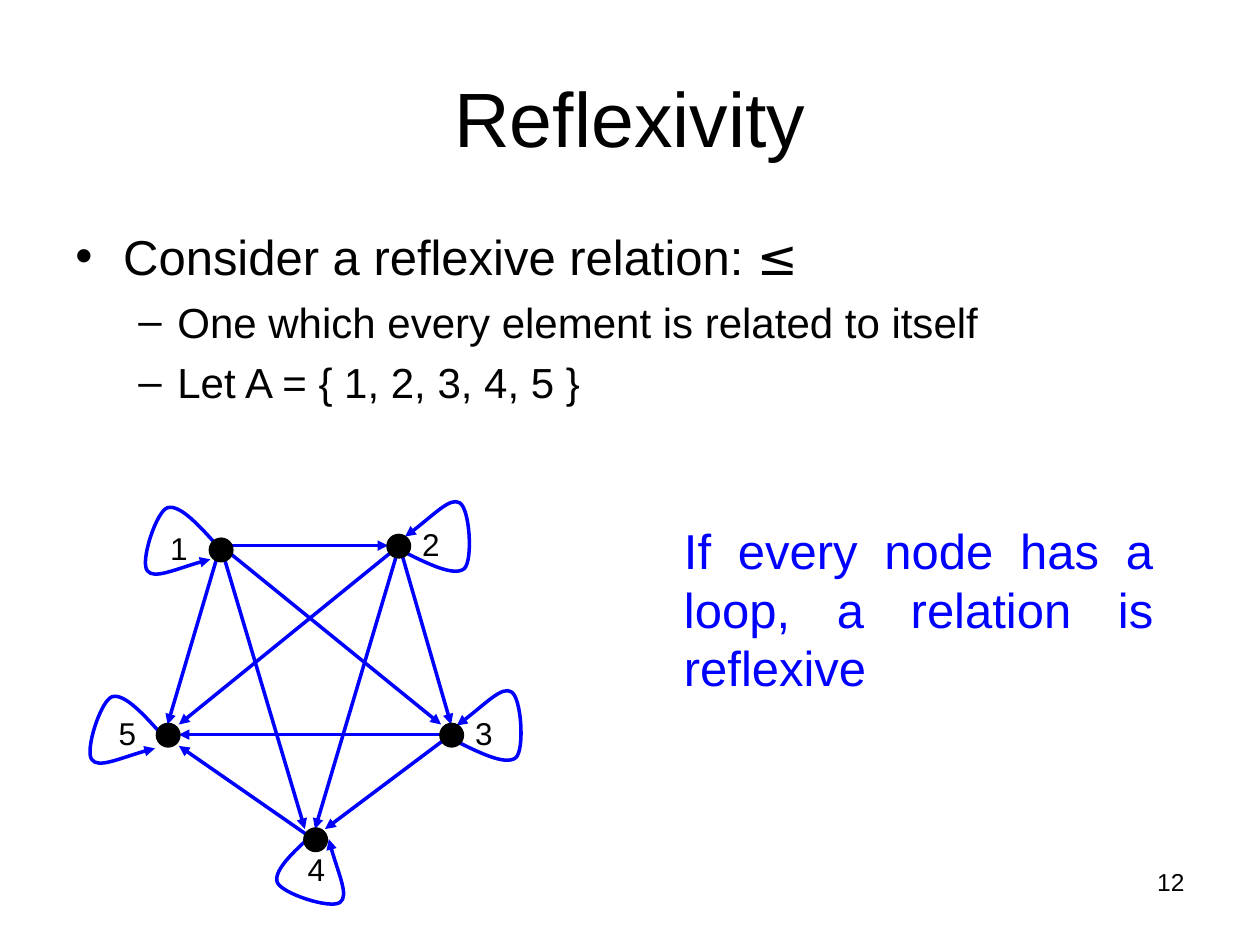
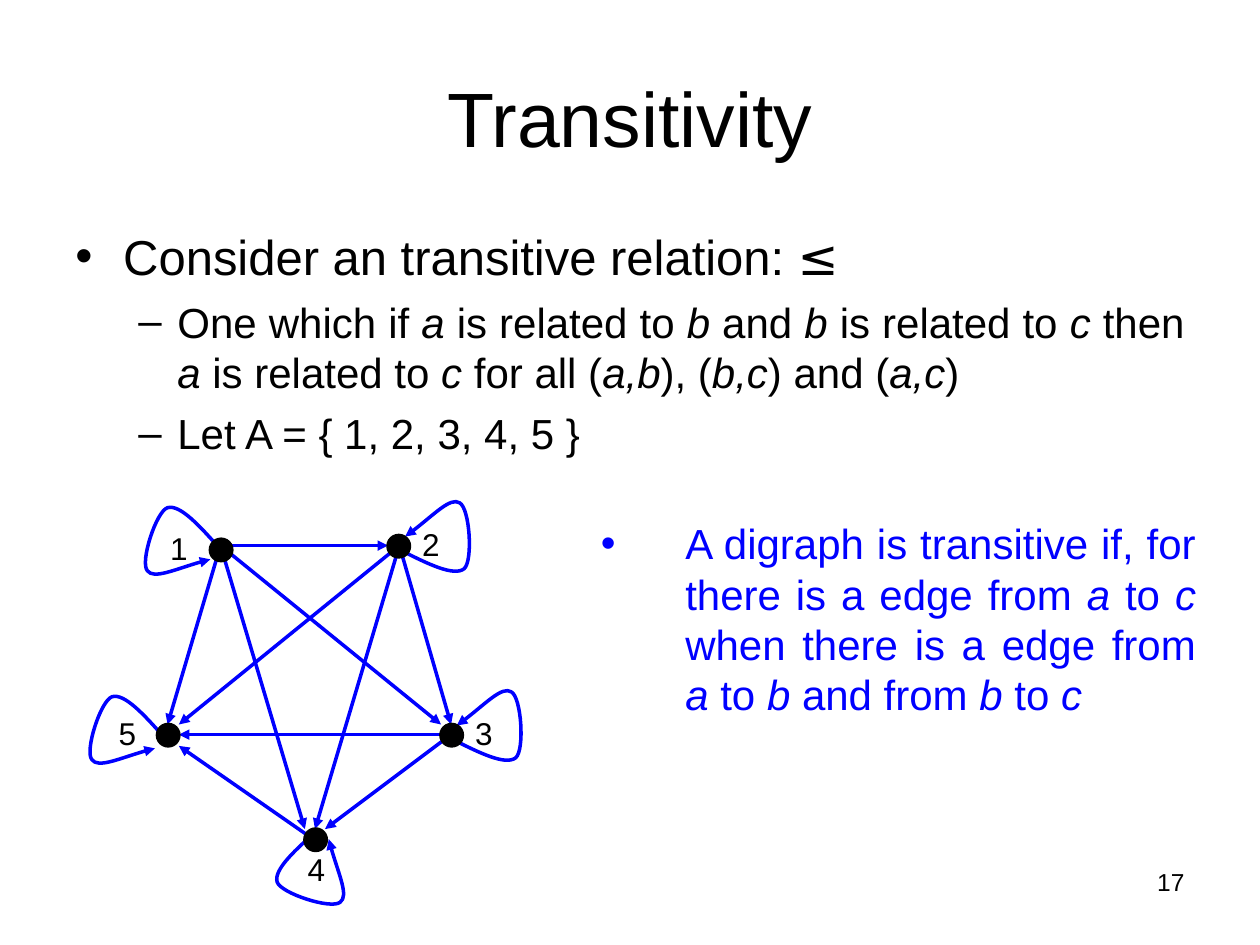
from lxml.etree import SubElement
from pptx import Presentation
from pptx.dml.color import RGBColor
from pptx.enum.shapes import MSO_CONNECTOR, MSO_SHAPE
from pptx.enum.text import MSO_ANCHOR, MSO_AUTO_SIZE, PP_ALIGN
from pptx.oxml.ns import qn
from pptx.util import Inches, Pt

COLORS = {"ink": "000000", "accent": "0000FF", "paper": "FFFFFF"}
TEXT_FONT = "Arial"
SYMBOL_FONT = "DejaVu Sans"
LINE_WIDTH = Pt(2)
NODE_SIZE = 0.17

NODES = {
    "1": (1.67, 4.28),
    "2": (3.08, 4.25),
    "3": (3.5, 5.75),
    "4": (2.42, 6.58),
    "5": (1.25, 5.75),
}
LABELS = {
    "1": (1.25, 4.03),
    "2": (3.25, 4),
    "3": (3.67, 5.5),
    "4": (2.34, 6.58),
    "5": (0.84, 5.5),
}
LOOPS = {
    "1": (1.11, 4, 0),
    "2": (3.17, 4, 158.4),
    "3": (3.58, 5.5, 158.4),
    "4": (2.15, 6.6, 270),
    "5": (0.67, 5.5, 0),
}
LOOP_CURVE = [
    (0.64, 0.36),
    (0.48, 0.18), (0.32, 0), (0.22, 0.03),
    (0.13, 0.06), (0, 0.46), (0.06, 0.53),
    (0.11, 0.6), (0.32, 0.5), (0.56, 0.44),
]
EDGES = {
    (1.75, 4.33): [(3.08, 4.33), (3.5, 5.75), (1.33, 5.75), (2.42, 6.58)],
    (3.17, 4.33): [(3.58, 5.75), (2.5, 6.58), (1.42, 5.75)],
    (3.58, 5.83): [(2.58, 6.58), (1.42, 5.83)],
    (2.5, 6.67): [(1.42, 5.92)],
}


def color(name):
    return RGBColor.from_string(COLORS[name])


def add_box(shapes, left, top, width, height, wrap=True, grow=False):
    box = shapes.add_textbox(Inches(left), Inches(top), Inches(width), Inches(height))
    frame = box.text_frame
    frame.word_wrap = wrap
    frame.auto_size = MSO_AUTO_SIZE.SHAPE_TO_FIT_TEXT if grow else MSO_AUTO_SIZE.NONE
    return frame


def write(paragraph, text, size, align, ink="ink"):
    """Pieces between asterisks are variables in italics, or the relation symbol."""
    paragraph.alignment = align
    for index, piece in enumerate(text.split("*")):
        if not piece:
            continue
        run = paragraph.add_run()
        run.text = piece
        is_symbol = piece == "≤"
        run.font.name = SYMBOL_FONT if is_symbol else TEXT_FONT
        run.font.size = Pt(size)
        run.font.color.rgb = color(ink)
        run.font.italic = index % 2 == 1 and not is_symbol


def add_bullet(paragraph, mark, margin, hanging, ink="ink"):
    properties = paragraph._p.get_or_add_pPr()
    properties.set("marL", str(Inches(margin)))
    properties.set("indent", str(-Inches(hanging)))
    bullet_color = SubElement(properties, qn("a:buClr"))
    SubElement(bullet_color, qn("a:srgbClr"), val=COLORS[ink])
    SubElement(properties, qn("a:buFont"), typeface=TEXT_FONT)
    SubElement(properties, qn("a:buChar"), char=mark)


def style_arrow(arrow):
    arrow.line.color.rgb = color("accent")
    arrow.line.width = LINE_WIDTH
    SubElement(arrow.line._get_or_add_ln(), qn("a:tailEnd"), type="triangle")


def add_edge(shapes, start, end):
    edge = shapes.add_connector(
        MSO_CONNECTOR.STRAIGHT, *(Inches(length) for length in start + end)
    )
    style_arrow(edge)
    SubElement(edge._element.spPr, qn("a:effectLst"))


def add_loop(shapes, left, top, rotation):
    start, *curve = [(Inches(x), Inches(y)) for x, y in LOOP_CURVE]
    builder = shapes.build_freeform(*start)
    builder.add_line_segments(curve, close=False)
    loop = builder.convert_to_shape(Inches(left), Inches(top))
    outline = loop._element.find(".//" + qn("a:path"))
    segments = outline.findall(qn("a:lnTo"))
    for first in range(0, len(segments), 3):
        bezier = SubElement(outline, qn("a:cubicBezTo"))
        for segment in segments[first:first + 3]:
            bezier.append(segment[0])
            outline.remove(segment)
    loop.rotation = rotation
    loop.fill.background()
    loop.shadow.inherit = False
    style_arrow(loop)


def add_node(shapes, left, top):
    node = shapes.add_shape(
        MSO_SHAPE.OVAL, Inches(left), Inches(top), Inches(NODE_SIZE), Inches(NODE_SIZE)
    )
    node.shadow.inherit = False
    node.fill.solid()
    node.fill.fore_color.rgb = color("ink")
    node.line.color.rgb = color("ink")
    node.line.width = LINE_WIDTH


def add_node_label(shapes, number, left, top):
    label = add_box(shapes, left, top, 0.34, 0.52, wrap=False, grow=True).paragraphs[0]
    label.line_spacing = 1.4
    write(label, number, 18, PP_ALIGN.CENTER)


def add_digraph(slide):
    shapes = slide.shapes.add_group_shape().shapes
    for number, position in LABELS.items():
        add_node_label(shapes, number, *position)
    for placement in LOOPS.values():
        add_loop(shapes, *placement)
    for start, ends in EDGES.items():
        for end in ends:
            add_edge(shapes, start, end)
    for position in NODES.values():
        add_node(shapes, *position)


def add_definition(slide, relation, details):
    frame = add_box(slide.shapes, 0.5, 1.75, 9, 5.33)
    heading = frame.paragraphs[0]
    heading.space_before = Pt(7)
    write(heading, relation, 28, PP_ALIGN.JUSTIFY)
    add_bullet(heading, "•", 0.38, 0.38)
    for detail in details:
        item = frame.add_paragraph()
        item.level = 1
        item.space_before = Pt(6)
        write(item, detail, 24, PP_ALIGN.JUSTIFY)
        add_bullet(item, "–", 0.81, 0.31)


def add_relation_slide(deck, title, number, relation, details):
    slide = deck.slides.add_slide(deck.slide_layouts[6])
    slide.background.fill.solid()
    slide.background.fill.fore_color.rgb = color("paper")
    page = add_box(slide.shapes, 7.17, 6.83, 2.33, 0.52)
    write(page.paragraphs[0], number, 14, PP_ALIGN.RIGHT)
    heading = add_box(slide.shapes, 0.5, 0.3, 9, 1.25)
    heading.vertical_anchor = MSO_ANCHOR.MIDDLE
    write(heading.paragraphs[0], title, 44, PP_ALIGN.CENTER)
    add_definition(slide, relation, details)
    add_digraph(slide)
    return slide


def main():
    deck = Presentation()
    deck.slide_width = Inches(10)
    deck.slide_height = Inches(7.5)
    elements = "Let A = { 1, 2, 3, 4, 5 }"

    reflexivity = add_relation_slide(
        deck, "Reflexivity", "12", "Consider a reflexive relation: *≤*",
        ["One which every element is related to itself", elements],
    )
    loop_rule = add_box(reflexivity.shapes, 5.33, 4.08, 3.92, 1.5, grow=True)
    write(
        loop_rule.paragraphs[0], "If every node has a loop, a relation is reflexive",
        28, PP_ALIGN.JUSTIFY, "accent",
    )

    transitivity = add_relation_slide(
        deck, "Transitivity", "17", "Consider an transitive relation: *≤*",
        [
            "One which if *a* is related to *b* and *b* is related to *c* then "
            "*a* is related to *c *for all (*a,b*), (*b,c*) and (*a,c*)",
            elements,
        ],
    )
    edge_rule = add_box(transitivity.shapes, 4.67, 4.06, 4.92, 2.85).paragraphs[0]
    write(
        edge_rule,
        "A digraph is transitive if, for there is a edge from *a* to *c* "
        "when there is a edge from *a* to *b* and from *b* to *c*",
        24, PP_ALIGN.JUSTIFY, "accent",
    )
    add_bullet(edge_rule, "•", 0.67, 0.67, "accent")

    deck.save("out.pptx")


if __name__ == "__main__":
    main()
